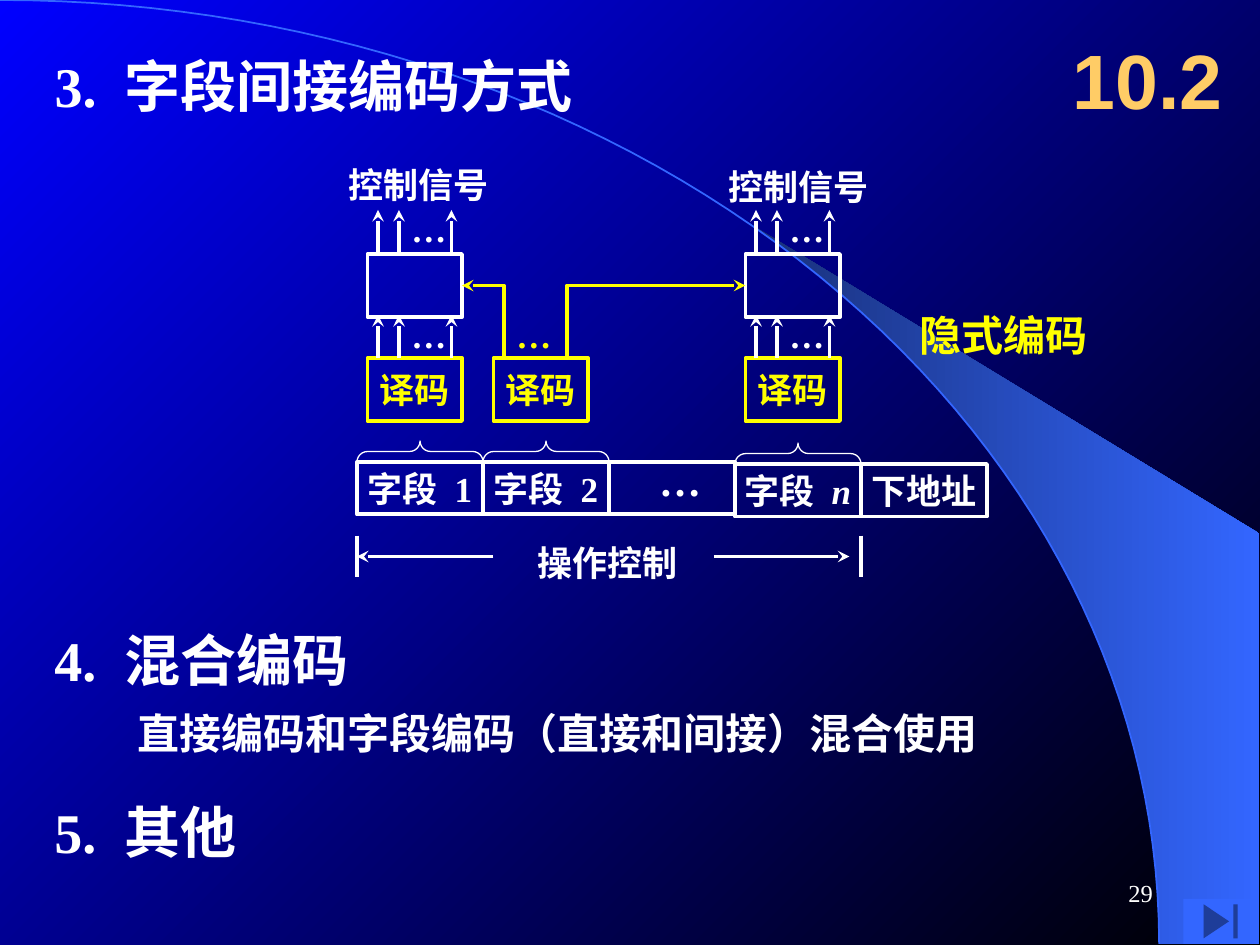
"""Build the slide on field-indirect, mixed and other microinstruction encodings."""
import math

from lxml import etree
from pptx import Presentation, util as u
from pptx.dml.color import RGBColor
from pptx.enum import shapes, text
from pptx.oxml.ns import qn

COLORS = {"white": "FFFFFF", "yellow": "FFFF00", "gold": "FFCC66",
          "blue": "0000FF", "black": "000000", "navy": "182F76", "sky": "3366FF"}
RGB = {name: RGBColor.from_string(value) for name, value in COLORS.items()}
SERIF, SANS = "Times New Roman", "DejaVu Sans"
LEFT, CENTER, RIGHT = text.PP_ALIGN.LEFT, text.PP_ALIGN.CENTER, text.PP_ALIGN.RIGHT
TOP, MIDDLE = text.MSO_ANCHOR.TOP, text.MSO_ANCHOR.MIDDLE
SHAPE = shapes.MSO_SHAPE

prs = Presentation()
prs.slide_width, prs.slide_height = u.Inches(10), u.Inches(7.5)
G = prs.slide_width // 120
s = prs.slides.add_slide(prs.slide_layouts[5])


def write(sp, runs, size, color="white", font=SERIF, han=SERIF, bold=True,
          align=LEFT, anchor=TOP, wrap=False):
    tf = sp.text_frame
    tf.word_wrap, tf.vertical_anchor = wrap, anchor
    tf.auto_size = text.MSO_AUTO_SIZE.NONE
    p = tf.paragraphs[0]
    p.alignment = align
    for part in runs:
        r = p.add_run()
        r.text = part
        r.font.size, r.font.bold = u.Pt(size), bold
        r.font.name = font if part.isascii() else han
        r.font.color.rgb = RGB[color]
        if part == "n":
            r.font.italic = True
        if part == " ":
            r.font._element.set("spc", str(size * 25))


def outline(sp, color="white", width=2.25, arrow=False):
    sp.line.color.rgb = RGB[color]
    sp.line.width = u.Pt(width)
    if arrow:
        etree.SubElement(sp.line._get_or_add_ln(), qn("a:tailEnd"), type="stealth")
    if hasattr(sp, "fill"):
        sp.shadow.inherit = False
        sp.fill.background()
    else:
        etree.SubElement(sp._element.spPr, qn("a:effectLst"))


RX, RY = 110.4, 89.9
start = math.asin(70.7 / RX)
arcs = []
for first in (0, start):
    angles = [first + (math.pi / 2 - first) * i / 60 for i in range(61)]
    arcs.append([(RX * math.sin(a) * G, RY * (1 - math.cos(a)) * G) for a in angles])
corner = [(119.9 * G, RY * G), (119.9 * G, 50.8 * G)]

wedge_path = s.shapes.build_freeform(*arcs[1][0])
wedge_path.add_line_segments(arcs[1][1:] + corner, close=True)
wedge = wedge_path.convert_to_shape()
wedge.shadow.inherit = False
wedge.line.fill.background()

arc_path = s.shapes.build_freeform(*arcs[0][0])
arc_path.add_line_segments(arcs[0][1:], close=False)
outline(arc_path.convert_to_shape(), "sky", 1)

for fill, stops, angle in ((s.background.fill, ("blue", "black"), 315),
                           (wedge.fill, ("navy", "sky"), 0)):
    fill.gradient()
    fill.gradient_angle = angle
    for stop, color in zip(fill.gradient_stops, stops):
        stop.color.rgb = RGB[color]

title = s.shapes.title
s.shapes._spTree.append(title._element)
for row, number, heading in ((4.3, "3.", "字段间接编码方式"),
                             (59, "4.", "混合编码"), (75.4, "5.", "其他")):
    sp = title if number == "3." else s.shapes.add_textbox(0, 0, G, G)
    sp.left, sp.top, sp.width, sp.height = (round(v * G) for v in (4, row, 103, 7.7))
    write(sp, (number, " ", heading), 32, han=SANS, wrap=True)

for x, y, w, h, words, size, style in (
        (11.9, 66.8, 100, 6, "直接编码和字段编码（直接和间接）混合使用", 24, {"han": SANS}),
        (101, 2, 19, 11, "10.2", 44, {"color": "gold", "font": "Arial", "anchor": MIDDLE}),
        (86.4, 28.9, 28.3, 6, "隐式编码", 24, {"color": "yellow"}),
        (86, 82, 25, 6, "29", 14, {"bold": False, "align": RIGHT, "anchor": MIDDLE})):
    sp = s.shapes.add_textbox(*(round(v * G) for v in (x, y, w, h)))
    write(sp, (words,), size, wrap=True, **style)

for x, y, w, words, size, color in (
        (32, 15, 15.7, "控制信号", 20, "white"),
        (68.2, 15.2, 15.7, "控制信号", 20, "white"),
        (50, 51, 15.7, "操作控制", 20, "white"),
        (38, 19.2, 5.8, "…", 20, "white"),
        (74, 19.2, 5.8, "…", 20, "white"),
        (38, 29.3, 5.8, "…", 20, "white"),
        (74, 29.3, 5.8, "…", 20, "white"),
        (48, 29.3, 5.8, "…", 20, "yellow"),
        (61.6, 42.7, 6.4, "…", 24, "white")):
    sp = s.shapes.add_textbox(*(round(v * G) for v in (x, y, w, 5.3)))
    write(sp, (words,), size, color)

fields = (("字段", " ", "1"), ("字段", " ", "2"), (), ("字段", " ", "n"), ("下地址",))
boxes = [(34 + 12 * i, 44 if i < 3 else 44.2, 12, 5, runs, "white")
         for i, runs in enumerate(fields)]
boxes += [(x, 34.1, 9, 6, ("译码",), "yellow") for x in (35, 47, 71)]
boxes += [(x, 24.2, 9, 6, (), "white") for x in (35, 71)]
for x, y, w, h, runs, color in boxes:
    sp = s.shapes.add_shape(SHAPE.RECTANGLE, *(round(v * G) for v in (x, y, w, h)))
    outline(sp, color)
    write(sp, runs, 20, color, align=CENTER, anchor=MIDDLE)
    if "字段" in runs:
        brace = s.shapes.add_shape(
            SHAPE.LEFT_BRACE, *(round(v * G) for v in (x + 5, y - 7, 2, 12)))
        brace.rotation = 90
        brace.adjustments[0] = 0.5
        outline(brace, width=0.75)

lines = [(x + dx, bottom, x + dx, top, True) for x in (36, 72)
         for bottom, top in ((34.1, 30), (24, 20)) for dx in (0, 2, 7)]
lines += [(x, 51, x, 55, False) for x in (34, 82)]
lines += [(47, 53, 34, 53, True), (68, 53, 80.9, 53, True)]
for *ends, arrow in lines:
    line = s.shapes.add_connector(shapes.MSO_CONNECTOR.STRAIGHT,
                                  *(round(v * G) for v in ends))
    outline(line, arrow=arrow)

for x, target in ((48, 44), (54, 71)):
    elbow = s.shapes.build_freeform(x * G, 34.2 * G)
    elbow.add_line_segments([(x * G, 27.2 * G), (target * G, 27.2 * G)], close=False)
    outline(elbow.convert_to_shape(), "yellow", arrow=True)

button = s.shapes.add_shape(SHAPE.ACTION_BUTTON_END,
                            *(round(v * G) for v in (112.7, 85.6, 7.1, 4.3)))
button.shadow.inherit = False
button.fill.solid()
button.fill.fore_color.rgb = RGB["sky"]
button.line.fill.background()

prs.save("out.pptx")
